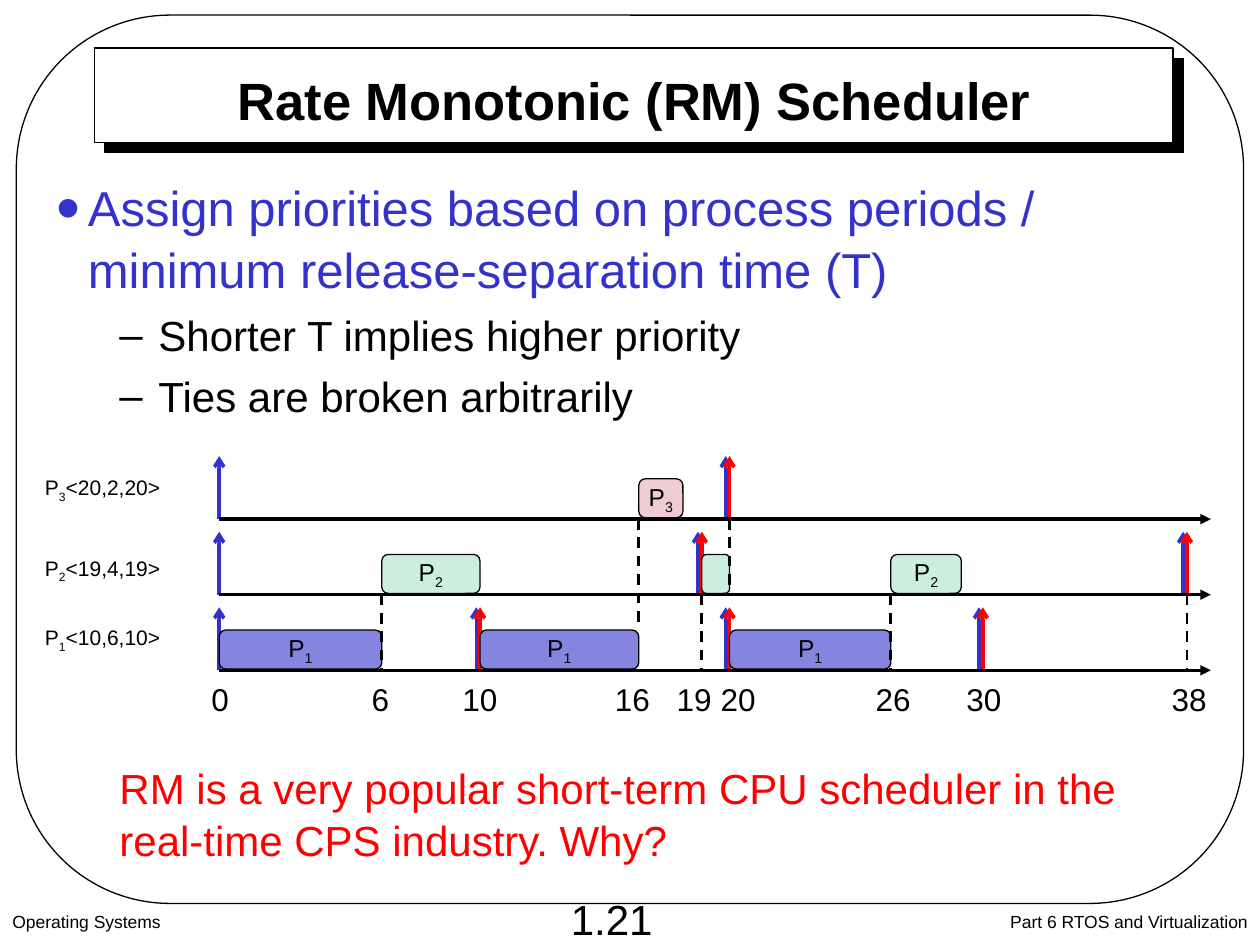
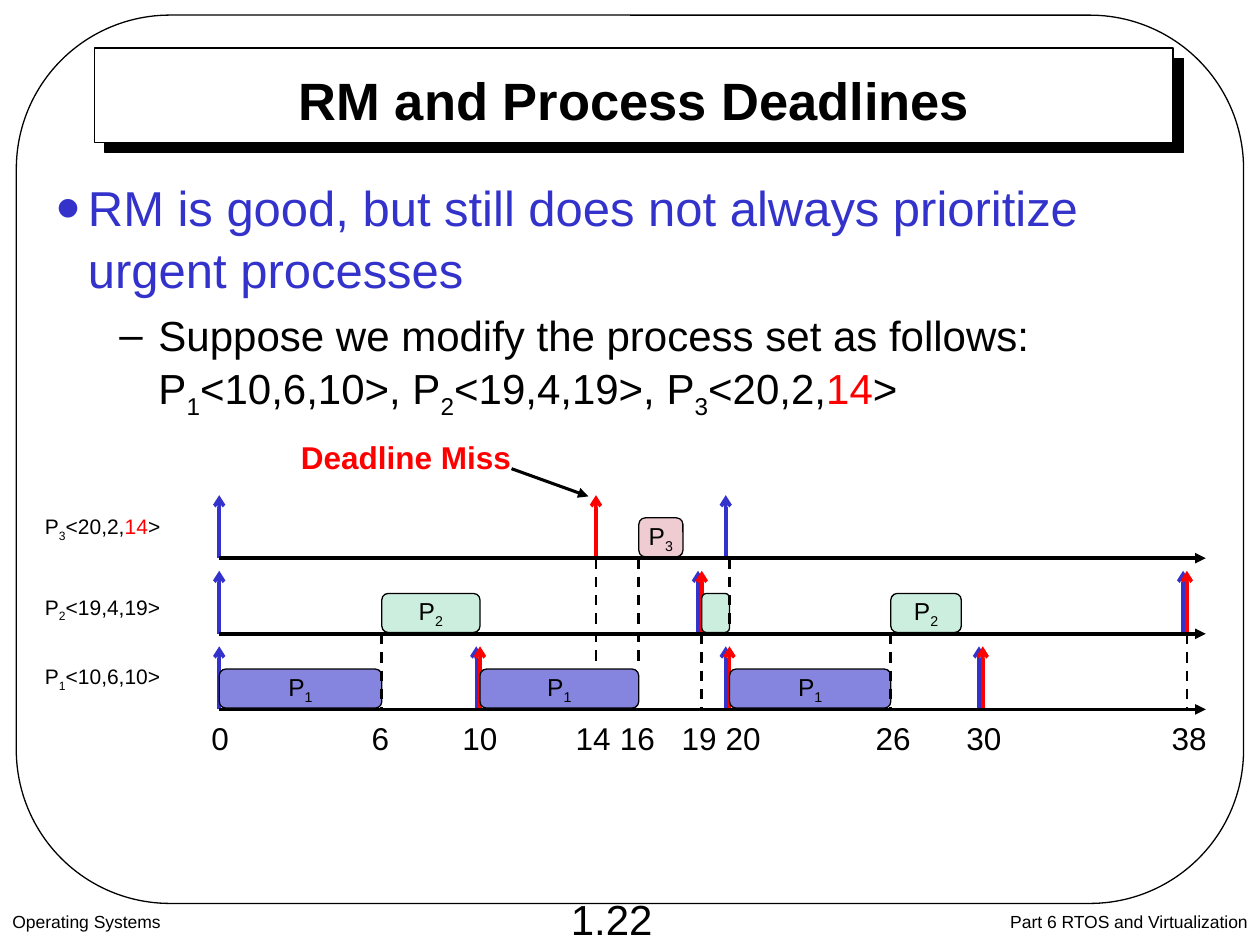
from lxml import etree
from pptx import Presentation
from pptx.dml.color import RGBColor
from pptx.enum.dml import MSO_LINE
from pptx.enum.shapes import MSO_CONNECTOR, MSO_SHAPE
from pptx.enum.text import MSO_ANCHOR, PP_ALIGN
from pptx.oxml.ns import qn
from pptx.util import Inches, Pt

COLORS = {
    "black": "000000", "white": "FFFFFF", "blue": "3333CC", "red": "FF0000",
    "P1": "8585E0", "P2": "CCEEDF", "P3": "EECCD2",
}
FONT = "Arial"
TIME_X = {
    0: 1.74, 6: 3.03, 10: 3.81, 14: 4.73, 16: 5.07, 18: 5.42, 19: 5.57,
    20: 5.79, 26: 7.07, 29: 7.63, 30: 7.8, 38: 9.42,
}
AXIS_GAP = 0.6
ARROW_HEIGHT = 0.5
BLOCK_HEIGHT = 0.31
PAIR_GAP = 0.03
PROCESSES = {
    3: {"row": 0, "label_rise": 0.4, "releases": [0, 20], "blocks": [(16, 18)]},
    2: {"row": 1, "label_rise": 0.36, "releases": [0, 19, 38],
        "blocks": [(6, 10), (19, 20), (26, 29)]},
    1: {"row": 2, "label_rise": 0.41, "releases": [0, 10, 20, 30],
        "blocks": [(0, 6), (10, 16), (20, 26)]},
}
GUIDES = [(16, 3, 0.86), (20, 3, 0.6), (6, 2, 0.6), (19, 2, 0.6), (26, 2, 0.6), (38, 2, 0.6)]
BULLETS = {
    0: {"margin": 0.25, "hanging": 0.25, "mark": "•", "percent": 140,
        "before": 0, "size": 28, "color": "blue"},
    1: {"margin": 0.81, "hanging": 0.31, "mark": "–", "percent": 100,
        "before": 4.8, "size": 24, "color": "black"},
}


def rgb(name):
    return RGBColor.from_string(COLORS[name])


def add_element(parent, tag, **attributes):
    element = etree.SubElement(parent, qn(tag))
    for name, value in attributes.items():
        element.set(name, str(value))
    return element


def set_attributes(target, values):
    for name, value in values.items():
        setattr(target, name, value)


def process_runs(number, *rest):
    return [("P", {}), (str(number), {"subscript": True}), *rest]


def add_runs(paragraph, runs, size, color="black", bold=False):
    for text, changes in runs:
        run = paragraph.add_run()
        run.text = text
        set_attributes(run.font, {"name": FONT, "size": Pt(size), "bold": bold})
        run.font.color.rgb = rgb(changes.get("color", color))
        if changes.get("subscript"):
            run._r.get_or_add_rPr().set("baseline", "-25000")


def add_text(slide, box, runs, size, color="black", bold=False,
             align=PP_ALIGN.LEFT, anchor=MSO_ANCHOR.TOP, wrap=True):
    shape = slide.shapes.add_textbox(*map(Inches, box))
    frame = shape.text_frame
    set_attributes(frame, {"word_wrap": wrap, "vertical_anchor": anchor})
    paragraph = frame.paragraphs[0]
    paragraph.alignment = align
    add_runs(paragraph, [(runs, {})] if isinstance(runs, str) else runs, size, color, bold)
    return paragraph


def add_box(slide, kind, box, fill=None):
    shape = slide.shapes.add_shape(kind, *map(Inches, box))
    shape.shadow.inherit = False
    if fill:
        shape.fill.solid()
        shape.fill.fore_color.rgb = rgb(fill)
    else:
        shape.fill.background()
    shape.line.color.rgb = rgb("black")
    shape.line.width = Pt(0.75)
    return shape


def add_line(slide, start, end, color="black", width=2, tip=None, dashed=False):
    connector = slide.shapes.add_connector(MSO_CONNECTOR.STRAIGHT, *map(Inches, start + end))
    connector.line.color.rgb = rgb(color)
    connector.line.width = Pt(width)
    if dashed:
        connector.line.dash_style = MSO_LINE.DASH
    if tip:
        add_element(connector.line._get_or_add_ln(), "a:tailEnd", type=tip)
    add_element(connector._element.spPr, "a:effectLst")


def add_frame(slide, title, page):
    banner = add_box(slide, MSO_SHAPE.RECTANGLE, (0.75, 0.38, 8.56, 0.75), "white")
    effects = banner._element.spPr.find(qn("a:effectLst"))
    shadow = add_element(effects, "a:outerShdw", dist=Pt(8.5), dir=45 * 60000,
                         algn="ctr", rotWithShape=0)
    add_element(shadow, "a:srgbClr", val=COLORS["black"])
    outline = add_box(slide, MSO_SHAPE.ROUNDED_RECTANGLE, (0.13, 0.12, 9.74, 7.05))
    outline.adjustments[0] = 0.173
    centred = {"align": PP_ALIGN.CENTER, "anchor": MSO_ANCHOR.MIDDLE}
    add_text(slide, (1.27, 0.54, 7.53, 0.5), title, 30, bold=True, **centred)
    add_text(slide, (0, 7.18, 4, 0.32), "Operating Systems", 10)
    add_text(slide, (4.41, 7.04, 0.89, 0.5), page, 24, wrap=False, **centred)
    add_text(slide, (6.83, 7.18, 3.17, 0.32), "Part 6 RTOS and Virtualization", 10,
             align=PP_ALIGN.RIGHT)


def add_bullets(slide, items):
    shape = slide.shapes.add_textbox(*map(Inches, (0.35, 1.34, 9.3, 1.78)))
    frame = shape.text_frame
    frame.word_wrap = True
    for index, (level, runs) in enumerate(items):
        style = BULLETS[level]
        paragraph = frame.add_paragraph() if index else frame.paragraphs[0]
        properties = paragraph._p.get_or_add_pPr()
        properties.set("marL", str(Inches(style["margin"])))
        properties.set("indent", str(-Inches(style["hanging"])))
        add_element(properties, "a:buSzPct", val=style["percent"] * 1000)
        add_element(properties, "a:buFont", typeface=FONT)
        add_element(properties, "a:buChar", char=style["mark"])
        set_attributes(paragraph, {"level": level, "line_spacing": 1.05,
                                   "space_before": Pt(style["before"])})
        add_runs(paragraph, runs, style["size"], style["color"])


def add_block(slide, number, start, end, axis):
    left = TIME_X[start]
    box = (left, axis - BLOCK_HEIGHT - 0.01, TIME_X[end] - left, BLOCK_HEIGHT)
    shape = add_box(slide, MSO_SHAPE.ROUNDED_RECTANGLE, box, f"P{number}")
    if end - start > 1:
        frame = shape.text_frame
        set_attributes(frame, {"word_wrap": False, "vertical_anchor": MSO_ANCHOR.MIDDLE,
                               "margin_top": 0, "margin_bottom": 0})
        frame.paragraphs[0].alignment = PP_ALIGN.CENTER
        add_runs(frame.paragraphs[0], process_runs(number), 14)


def add_arrow(slide, x, axis, color):
    add_line(slide, (x, axis), (x, axis - ARROW_HEIGHT), color, tip="arrow")


def add_time_labels(slide, centres, top):
    left, inset = 1.58, 0.1
    text = "\t".join(str(time) for time in centres)
    paragraph = add_text(slide, (left, top, 8.18, 0.4), text, 18)
    tabs = add_element(paragraph._p.get_or_add_pPr(), "a:tabLst")
    for time, centre in centres.items():
        if time:
            add_element(tabs, "a:tab", pos=Inches(centre - left - inset), algn="ctr")


def add_schedule(slide, top, axis_end, parameters, deadlines, guides, centres):
    axes = {number: top + AXIS_GAP * process["row"] for number, process in PROCESSES.items()}
    for number, process in PROCESSES.items():
        axis = axes[number]
        for time in process["releases"]:
            shift = PAIR_GAP if time else 0
            add_arrow(slide, TIME_X[time] - shift, axis, "blue")
        for time in deadlines[number]:
            add_arrow(slide, TIME_X[time], axis, "red")
        add_line(slide, (TIME_X[0], axis), (axis_end, axis), tip="triangle")
        add_text(slide, (0.25, axis - process["label_rise"], 1.13, 0.3),
                 process_runs(number, *parameters[number]), 12,
                 align=PP_ALIGN.CENTER, wrap=False)
        for start, end in process["blocks"]:
            add_block(slide, number, start, end, axis)
    for time, number, length in guides:
        x, axis = TIME_X[time], axes[number]
        add_line(slide, (x, axis), (x, axis + length), width=1.5, dashed=True)
    add_time_labels(slide, centres, axes[1] + 0.03)


def main():
    presentation = Presentation()
    presentation.slide_width, presentation.slide_height = Inches(10), Inches(7.5)
    blank = presentation.slide_layouts[6]
    parameters = {1: [("<10,6,10>", {})], 2: [("<19,4,19>", {})], 3: [("<20,2,20>", {})]}
    urgent = [("<20,2,", {}), ("14", {"color": "red"}), (">", {})]
    deadlines = {1: [10, 20, 30], 2: [19, 38], 3: [20]}
    first_labels = {0: 1.74, 6: 3.02, 10: 3.81}
    last_labels = {26: 7.09, 30: 7.81, 38: 9.44}

    slide = presentation.slides.add_slide(blank)
    add_frame(slide, "Rate Monotonic (RM) Scheduler", "1.21")
    add_bullets(slide, [
        (0, [("Assign priorities based on process periods / "
              "minimum release-separation time (T)", {})]),
        (1, [("Shorter T implies higher priority", {})]),
        (1, [("Ties are broken arbitrarily", {})]),
    ])
    add_schedule(slide, 4.12, 9.61, parameters, deadlines, GUIDES,
                 {**first_labels, 16: 5.02, 19: 5.51, 20: 5.86, **last_labels})
    remark = add_text(slide, (0.85, 5.98, 8.8, 0.9),
                      "RM is a very popular short-term CPU scheduler in the "
                      "real-time CPS industry. Why?", 24, "red")
    remark.line_spacing = 1.05

    slide = presentation.slides.add_slide(blank)
    add_frame(slide, "RM and Process Deadlines", "1.22")
    add_bullets(slide, [
        (0, [("RM is good, but still does not always prioritize urgent processes", {})]),
        (1, [("Suppose we modify the process set as follows: ", {}),
             *process_runs(1, *parameters[1]), (", ", {}),
             *process_runs(2, *parameters[2]), (", ", {}),
             *process_runs(3, *urgent)]),
    ])
    add_schedule(slide, 4.43, 9.57, {**parameters, 3: urgent}, {**deadlines, 3: [14]},
                 [(14, 3, 0.86), *GUIDES],
                 {**first_labels, 14: 4.71, 16: 5.06, 19: 5.55, 20: 5.9, **last_labels})
    add_text(slide, (2.29, 3.43, 1.88, 0.4), "Deadline Miss", 18, "red", bold=True, wrap=False)
    add_line(slide, (4.06, 3.72), (4.67, 3.94), width=1.75, tip="triangle")
    presentation.save("out.pptx")


if __name__ == "__main__":
    main()
